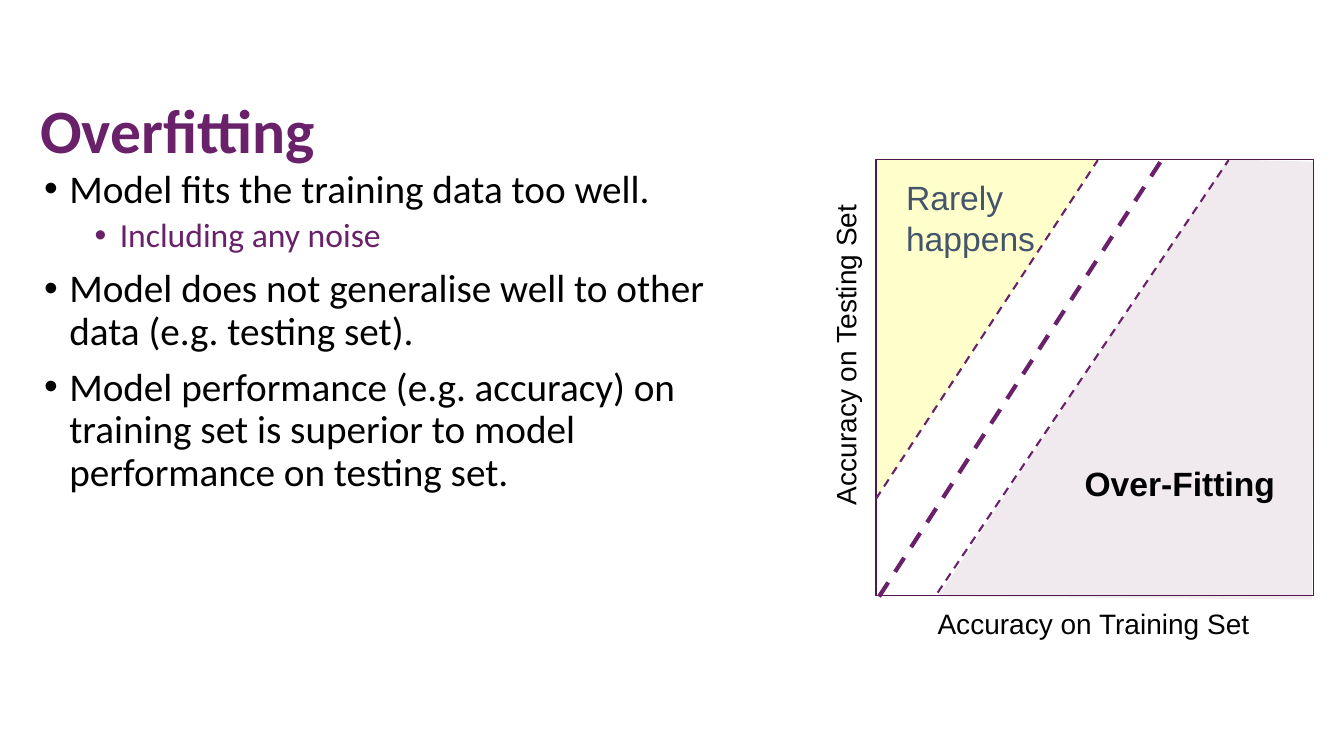
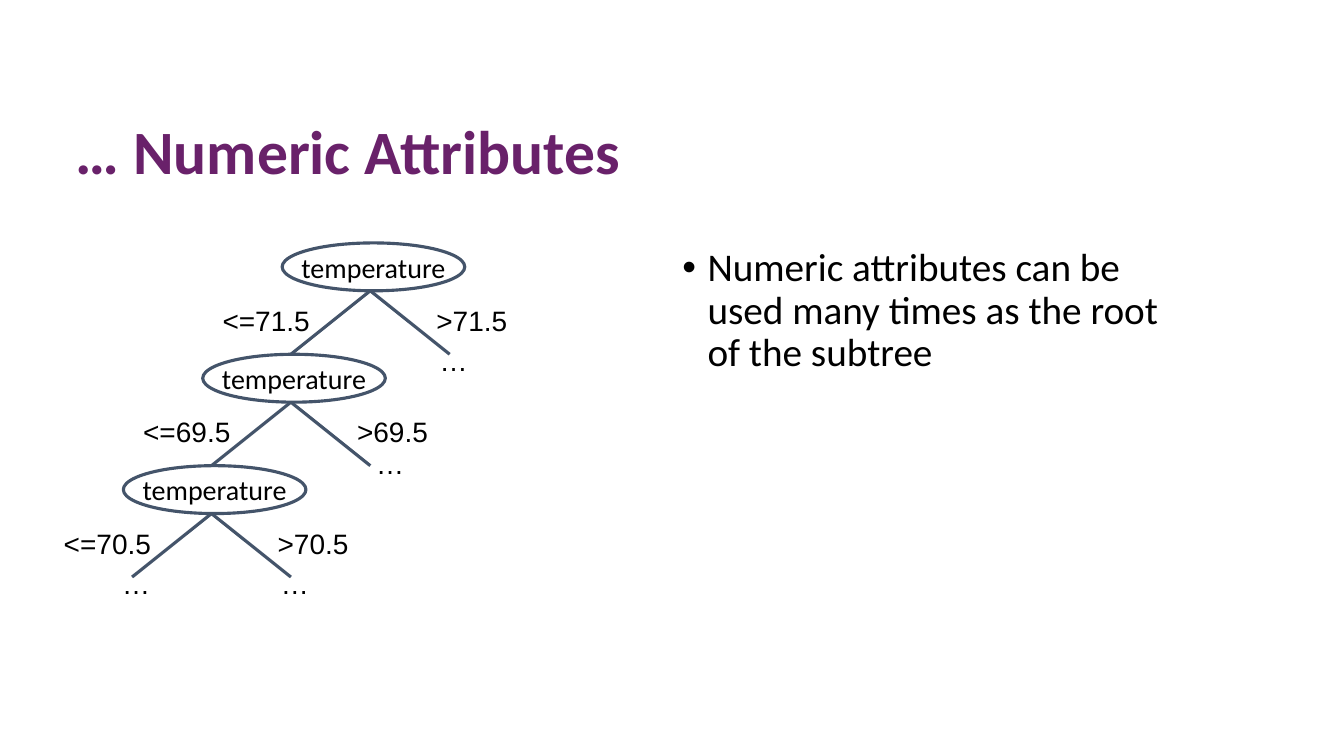
import dataclasses

import lxml.etree
import pptx
import pptx.dml.color
import pptx.enum.dml
import pptx.enum.shapes
import pptx.enum.text
import pptx.oxml.ns
import pptx.util

RGB = pptx.dml.color.RGBColor
PURPLE = RGB(0x69, 0x21, 0x6A)
DARK_PURPLE = RGB(0x4E, 0x18, 0x4E)
MAUVE = RGB(0xF0, 0xE9, 0xEE)
YELLOW = RGB(0xFF, 0xFF, 0xCC)
SLATE = RGB(0x44, 0x54, 0x6A)
BLACK = RGB(0, 0, 0)
WHITE = RGB(0xFF, 0xFF, 0xFF)

SHAPES = pptx.enum.shapes.MSO_SHAPE
ALIGN = pptx.enum.text.PP_ALIGN
ANCHOR = pptx.enum.text.MSO_ANCHOR
TITLE_ONLY = 5
LINE_SPACING = 0.9
# Bullet style by level: size, colour, space before, left indent in inches
BULLET_LEVELS = [(28, BLACK, 10, 0.25), (24, PURPLE, 5, 0.75)]


@dataclasses.dataclass
class Box:
    left: float
    top: float
    width: float
    height: float

    def point(self, x, y):
        """Position at x, y percent of this box."""
        return (round(self.left + self.width * x / 100),
                round(self.top + self.height * y / 100))

    def inner(self, x, y, width, height):
        """Inner box, given in percent of this box."""
        return Box(*self.point(x, y), round(self.width * width / 100),
                   round(self.height * height / 100))

    def frame(self):
        return self.left, self.top, self.width, self.height


def add_run(paragraph, text, size, color=BLACK, font="Arial", bold=False):
    run = paragraph.add_run()
    run.text = text
    run.font.size = pptx.util.Pt(size)
    run.font.name = font
    run.font.bold = bold
    run.font.color.rgb = color


def add_title(slide, text, box):
    title = slide.shapes.title
    title.left, title.top, title.width, title.height = box.frame()
    frame = title.text_frame
    frame.auto_size = pptx.enum.text.MSO_AUTO_SIZE.NONE
    frame.vertical_anchor = ANCHOR.MIDDLE
    paragraph = frame.paragraphs[0]
    paragraph.alignment = ALIGN.LEFT
    paragraph.line_spacing = LINE_SPACING
    add_run(paragraph, text, 44, PURPLE, "Calibri", True)


def add_bullets(slide, items, box):
    """Place (level, text) items as a bulleted list."""
    frame = slide.shapes.add_textbox(*box.frame()).text_frame
    frame.word_wrap = True
    for index, (level, text) in enumerate(items):
        paragraph = frame.add_paragraph() if index else frame.paragraphs[0]
        size, color, space, indent = BULLET_LEVELS[level]
        paragraph.level = level
        paragraph.line_spacing = LINE_SPACING
        paragraph.space_before = pptx.util.Pt(space)
        properties = paragraph._p.get_or_add_pPr()
        properties.set("marL", str(pptx.util.Inches(indent)))
        properties.set("indent", str(-pptx.util.Inches(0.25)))
        for tag, key, value in (("a:buFont", "typeface", "Arial"),
                                ("a:buChar", "char", "•")):
            lxml.etree.SubElement(properties, pptx.oxml.ns.qn(tag)).set(key, value)
        add_run(paragraph, text, size, color, "Calibri")


def add_label(slide, text, box, size=20, color=BLACK, bold=False,
              align=ALIGN.LEFT, wrap=True):
    label = slide.shapes.add_textbox(*box.frame())
    label.text_frame.word_wrap = wrap
    paragraph = label.text_frame.paragraphs[0]
    paragraph.alignment = align
    add_run(paragraph, text, size, color, bold=bold)
    return label


def paint(shape, fill, line, width=1):
    shape.shadow.inherit = False
    if fill is None:
        shape.fill.background()
    else:
        shape.fill.solid()
        shape.fill.fore_color.rgb = fill
    shape.line.color.rgb = line
    shape.line.width = pptx.util.Pt(width)


def add_line(slide, start, end, color, width, dashed=False):
    line = slide.shapes.add_connector(
        pptx.enum.shapes.MSO_CONNECTOR.STRAIGHT, *start, *end)
    line.line.color.rgb = color
    line.line.width = pptx.util.Pt(width)
    if dashed:
        line.line.dash_style = pptx.enum.dml.MSO_LINE.DASH
    lxml.etree.SubElement(line._element.spPr, pptx.oxml.ns.qn("a:effectLst"))


def add_accuracy_plot(slide, plot):
    """Draw training against testing accuracy; plot is the square's box."""
    corners = [plot.point(*corner) for corner in
               ((14.5, 100), (80.6, 0.2), (100, 0.7), (99.5, 100.7))]
    builder = slide.shapes.build_freeform(*corners[0], scale=1.0)
    builder.add_line_segments(corners[1:], close=True)
    paint(builder.convert_to_shape(), MAUVE, MAUVE)

    rare_zone = slide.shapes.add_shape(
        SHAPES.RIGHT_TRIANGLE, *plot.inner(0, 0, 50.9, 77.6).frame())
    rare_zone._element.spPr.get_or_add_xfrm().set("flipV", "1")
    paint(rare_zone, YELLOW, YELLOW)

    add_label(slide, "Over-Fitting", plot.inner(45.4, 68.4, 48.6, 11.5), 24, bold=True)
    add_label(slide, "Rarely happens", plot.inner(4.6, 3, 51.4, 21), 24, SLATE)
    for text, area, rotation in (
            ("Accuracy on Training Set", (11.8, 101.4, 88.2, 10.2), 0),
            ("Accuracy on Testing Set", (-46.1, 37.2, 78.3, 10.2), 270)):
        axis = add_label(slide, text, plot.inner(*area))
        axis.rotation = rotation
        axis.fill.solid()
        axis.fill.fore_color.rgb = WHITE

    outline = slide.shapes.add_shape(SHAPES.RECTANGLE, *plot.frame())
    paint(outline, None, DARK_PURPLE)
    for start, end, width in (((0.7, 100.2), (65.4, 0), 3),
                              ((14.1, 99.3), (80.6, 0.2), 1.5),
                              ((0, 77.8), (50.7, 0.2), 1.5)):
        add_line(slide, plot.point(*start), plot.point(*end), PURPLE, width, True)


def add_split_tree(slide, tree, thresholds, leaves):
    """Draw a left-leaning tree on one row per threshold.

    Each leaf is (column, row, x nudge, y nudge) of its branch's end.
    """
    rows = len(thresholds)
    column_share, row_share = 100 / (rows + 1), 100 / rows

    def at(column, row):
        return tree.point(column * column_share, row * row_share)

    def centred(column, row, width, height):
        return tree.inner((column - width / 2) * column_share, row * row_share,
                          width * column_share, height * row_share)

    for row, threshold in enumerate(thresholds):
        column = rows - row
        for side, sign, reach, width in ((-1, "<=", 1.31, 1.36),
                                         (1, ">", 1.28, 1.16)):
            add_line(slide, at(column, row + 0.43), at(column + side, row + 1),
                     SLATE, 2.25)
            add_label(slide, sign + threshold,
                      centred(column + side * reach, row + 0.5, width, 0.4),
                      align=ALIGN.CENTER, wrap=False)
        node = slide.shapes.add_shape(
            SHAPES.OVAL, *centred(column + 0.04, row, 2.3, 0.43).frame())
        paint(node, None, SLATE, 2.25)
        node.text_frame.word_wrap = False
        node.text_frame.vertical_anchor = ANCHOR.MIDDLE
        paragraph = node.text_frame.paragraphs[0]
        paragraph.alignment = ALIGN.CENTER
        add_run(paragraph, "temperature", 20, font="Calibri")

    for column, row, nudge_x, nudge_y in leaves:
        add_label(slide, "…", centred(column + nudge_x, row + nudge_y, 0.9, 0.4),
                  align=ALIGN.CENTER)


def build_overfitting(slide, page):
    add_accuracy_plot(slide, page.inner(65.18, 21.07, 32.55, 57.73))
    add_bullets(slide, [
        (0, "Model fits the training data too well."),
        (1, "Including any noise"),
        (0, "Model does not generalise well to other data (e.g. testing set)."),
        (0, "Model performance (e.g. accuracy) on training set is superior "
            "to model performance on testing set."),
    ], page.inner(2.55, 21.73, 52.36, 59.2))
    add_title(slide, "Overfitting", page.inner(2.25, 12.13, 92.87, 11.07))


def build_numeric_attributes(slide, page):
    add_split_tree(slide, page.inner(9.83, 32.13, 23.63, 44.2),
                   ["71.5", "69.5", "70.5"],
                   [(4, 1, 0.05, -0.14), (3, 2, 0.25, -0.22),
                    (2, 3, 0.05, -0.14), (0, 3, 0.05, -0.14)])
    add_bullets(slide, [
        (0, "Numeric attributes can be used many times as the root of the subtree"),
    ], page.inner(50.03, 32.13, 38.41, 20.93))
    add_title(slide, "… Numeric Attributes", page.inner(4.88, 14.93, 86.27, 11.07))


def main():
    deck = pptx.Presentation()
    deck.slide_width = pptx.util.Inches(13.33)
    deck.slide_height = pptx.util.Inches(7.5)
    page = Box(0, 0, deck.slide_width, deck.slide_height)
    for build in (build_overfitting, build_numeric_attributes):
        build(deck.slides.add_slide(deck.slide_layouts[TITLE_ONLY]), page)
    deck.save("out.pptx")


if __name__ == "__main__":
    main()
